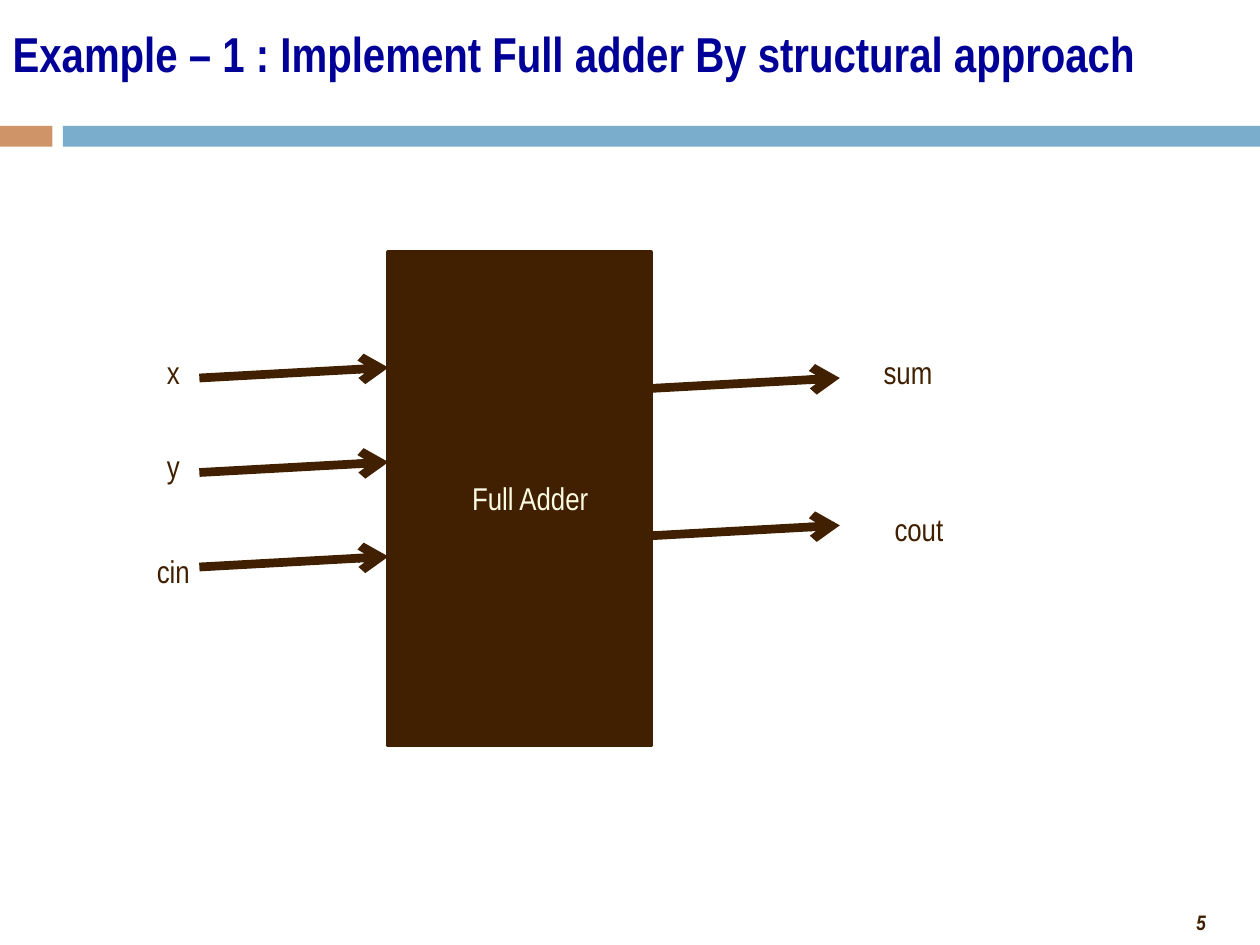
from dataclasses import dataclass

from lxml import etree
from pptx import Presentation
from pptx.dml.color import RGBColor
from pptx.enum import shapes, text
from pptx.oxml.ns import qn
from pptx.util import Cm, Pt


@dataclass(frozen=True)
class Theme:
    font: str = "Arial Narrow"
    title: str = "000099"
    dark: str = "402000"
    light: str = "FBFAE2"
    accent: str = "CF9467"
    band: str = "7AADCC"
    title_size: int = 28
    label_size: int = 18
    number_size: int = 12
    border_width: float = 2.25
    arrow_width: int = 5


@dataclass(frozen=True)
class Block:
    left: float
    top: float
    width: float
    height: float
    color: str
    border: bool = False


@dataclass(frozen=True)
class Label:
    words: str
    left: float
    top: float
    width: float = 2.75
    color: str = Theme.dark


@dataclass(frozen=True)
class Arrow:
    left: float
    top: float


THEME = Theme()
SLIDE_WIDTH, SLIDE_HEIGHT = 25.4, 19.05
BAND_TOP, BAND_HEIGHT = 2.54, 0.42
LABEL_HEIGHT = 1.02
ARROW_RUN, ARROW_RISE = 3.81, 0.21
ADDER = Block(7.83, 5.08, 5.29, 9.95, THEME.dark, True)
ADDER_RIGHT = ADDER.left + ADDER.width

BLOCKS = [
    Block(0, BAND_TOP, 1.06, BAND_HEIGHT, THEME.accent),
    Block(1.27, BAND_TOP, SLIDE_WIDTH - 1.27, BAND_HEIGHT, THEME.band),
    ADDER,
]
INPUT_ARROWS = [Arrow(ADDER.left - ARROW_RUN, 7.62 + 1.905 * row) for row in range(3)]
OUTPUT_ARROWS = [Arrow(ADDER_RIGHT, top) for top in (7.83, 10.8)]
LABELS = [
    Label("x", 2.12, 6.99),
    Label("y", 2.12, 8.89),
    Label("cin", 2.12, 11.01),
    Label("sum", 16.93, 6.99),
    Label("cout", 17.15, 10.16),
    Label("Full Adder", 8.68, 9.53, 4.02, THEME.light),
]


def style_font(font, size: int, color: str, bold: bool = False, italic: bool = False) -> None:
    font.name = THEME.font
    font.size = Pt(size)
    font.bold = bold
    font.italic = italic
    font.color.rgb = RGBColor.from_string(color)


def add_title(slide, words: str) -> None:
    title = slide.shapes.title
    title.left, title.top, title.width, title.height = Cm(0), Cm(0), Cm(26.04), Cm(2.12)
    frame = title.text_frame
    frame.text = words
    frame.auto_size = text.MSO_AUTO_SIZE.NONE
    frame.vertical_anchor = text.MSO_ANCHOR.MIDDLE
    paragraph = frame.paragraphs[0]
    paragraph.alignment = text.PP_ALIGN.LEFT
    style_font(paragraph.font, THEME.title_size, THEME.title, bold=True)


def add_block(slide, block: Block) -> None:
    shape = slide.shapes.add_shape(
        shapes.MSO_SHAPE.RECTANGLE,
        Cm(block.left), Cm(block.top), Cm(block.width), Cm(block.height),
    )
    shape.shadow.inherit = False
    shape.fill.solid()
    shape.fill.fore_color.rgb = RGBColor.from_string(block.color)
    if block.border:
        shape.line.color.rgb = RGBColor.from_string(block.color)
        shape.line.width = Pt(THEME.border_width)
    else:
        shape.line.fill.background()


def add_arrow(slide, arrow: Arrow) -> None:
    connector = slide.shapes.add_connector(
        shapes.MSO_CONNECTOR.STRAIGHT,
        Cm(arrow.left), Cm(arrow.top),
        Cm(arrow.left + ARROW_RUN), Cm(arrow.top - ARROW_RISE),
    )
    connector.line.color.rgb = RGBColor.from_string(THEME.dark)
    connector.line.width = Pt(THEME.arrow_width)
    properties = connector.element.spPr
    etree.SubElement(properties.find(qn("a:ln")), qn("a:tailEnd"), type="arrow")
    etree.SubElement(properties, qn("a:effectLst"))


def add_text(slide, label: Label, height: float):
    box = slide.shapes.add_textbox(
        Cm(label.left), Cm(label.top), Cm(label.width), Cm(height)
    )
    frame = box.text_frame
    frame.word_wrap = True
    frame.text = label.words
    return frame.paragraphs[0]


def add_label(slide, label: Label) -> None:
    paragraph = add_text(slide, label, LABEL_HEIGHT)
    paragraph.alignment = text.PP_ALIGN.CENTER
    style_font(paragraph.font, THEME.label_size, label.color)


def add_page_number(slide, number: str) -> None:
    paragraph = add_text(slide, Label(number, 19.05, 18.21, 5.51), 0.76)
    paragraph.alignment = text.PP_ALIGN.RIGHT
    style_font(paragraph.font, THEME.number_size, THEME.dark, bold=True, italic=True)


def main() -> None:
    presentation = Presentation()
    presentation.slide_width = Cm(SLIDE_WIDTH)
    presentation.slide_height = Cm(SLIDE_HEIGHT)
    slide = presentation.slides.add_slide(presentation.slide_layouts[5])

    add_title(slide, "Example – 1 : Implement Full adder By structural approach")
    add_page_number(slide, "5")
    for block in BLOCKS:
        add_block(slide, block)
    for arrow in INPUT_ARROWS + OUTPUT_ARROWS:
        add_arrow(slide, arrow)
    for label in LABELS:
        add_label(slide, label)

    presentation.save("out.pptx")


if __name__ == "__main__":
    main()
